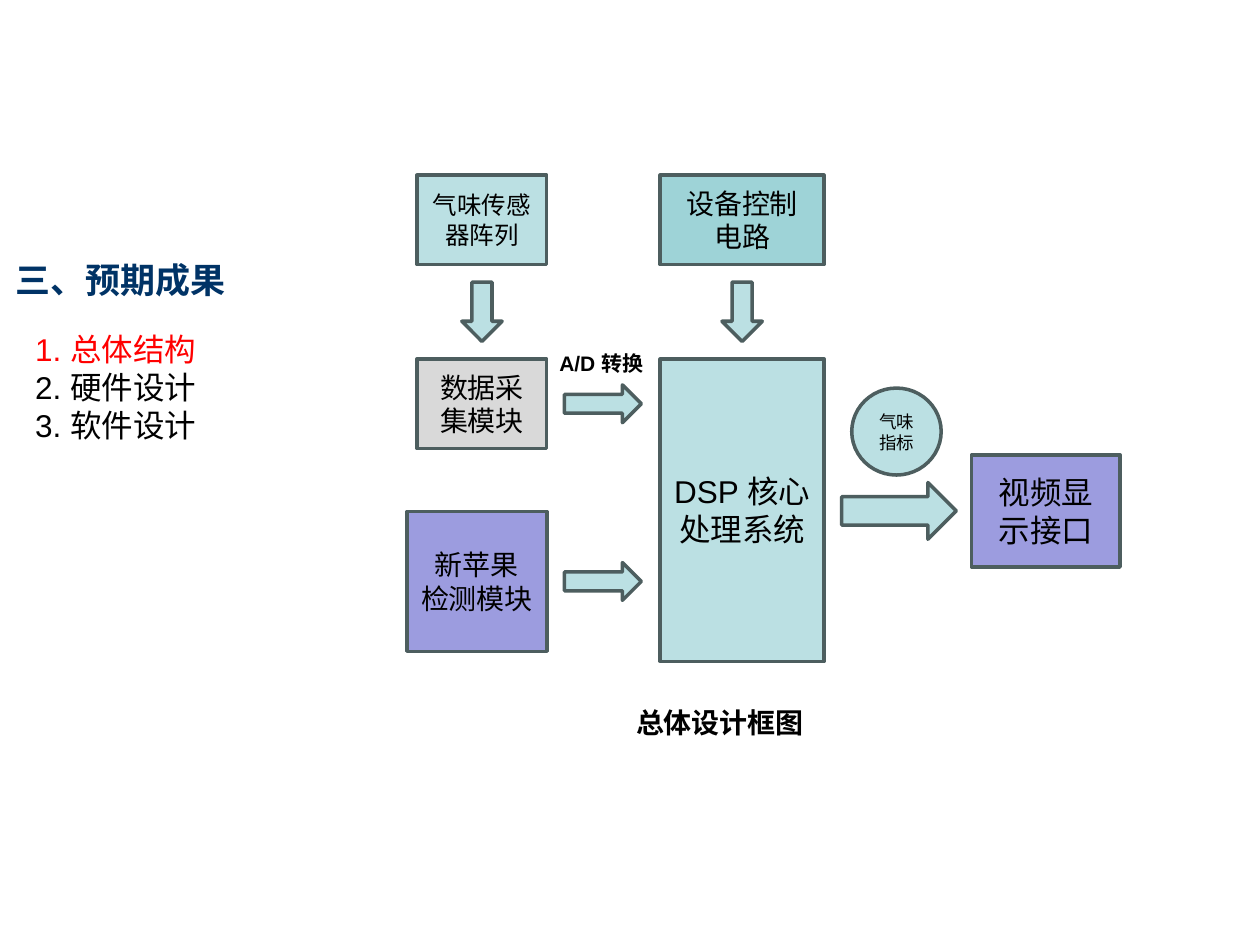
from pptx import Presentation
from pptx.dml.color import RGBColor
from pptx.enum.shapes import MSO_SHAPE
from pptx.enum.text import MSO_ANCHOR, PP_ALIGN
from pptx.util import Inches, Pt

RECT, OVAL = MSO_SHAPE.RECTANGLE, MSO_SHAPE.OVAL
DOWN, RIGHT = MSO_SHAPE.DOWN_ARROW, MSO_SHAPE.RIGHT_ARROW
LEFT, CENTER = PP_ALIGN.LEFT, PP_ALIGN.CENTER
TOP, MIDDLE = MSO_ANCHOR.TOP, MSO_ANCHOR.MIDDLE

AQUA = RGBColor(0xBB, 0xE0, 0xE3)
TEAL = RGBColor(0x9E, 0xD3, 0xD7)
GRAY = RGBColor(0xD9, 0xD9, 0xD9)
LILAC = RGBColor(0x9C, 0x9C, 0xDF)
EDGE = RGBColor(0x4D, 0x5E, 0x5F)
NAVY = RGBColor(0x00, 0x33, 0x66)
RED = RGBColor(0xFF, 0x00, 0x00)
BLACK = RGBColor(0x00, 0x00, 0x00)

FONT = "Arial"
COLS, ROWS = 100, 75
CELL = Inches(10) // COLS


def place(box, part):
    """Turn a part, in grid cells from the box's corner, into slide lengths."""
    x, y, w, h = part
    return [round(n * CELL) for n in (box[0] + x, box[1] + y, w, h)]


def write(frame, lines, size, align, anchor, bold=False, wrap=True):
    """Fill a frame with one paragraph for each (text, colour) pair."""
    frame.word_wrap = wrap
    frame.vertical_anchor = anchor
    for i, (text, color) in enumerate(lines):
        para = frame.add_paragraph() if i else frame.paragraphs[0]
        para.alignment = align
        run = para.add_run()
        run.text = text
        font = run.font
        font.name, font.size, font.bold = FONT, Pt(size), bold
        font.color.rgb = color


def label(slide, box, part, lines, size, align=LEFT, anchor=TOP, bold=True, wrap=True):
    shape = slide.shapes.add_textbox(*place(box, part))
    write(shape.text_frame, lines, size, align, anchor, bold, wrap)


def block(slide, box, kind, part, fill, size=0, *lines):
    shape = slide.shapes.add_shape(kind, *place(box, part))
    shape.shadow.inherit = False
    shape.fill.solid()
    shape.fill.fore_color.rgb = fill
    shape.line.color.rgb = EDGE
    shape.line.width = Pt(2)
    if lines:
        write(shape.text_frame, [(t, BLACK) for t in lines], size, CENTER, MIDDLE)


def outline(slide, box):
    """Section title with its numbered topics below."""
    label(slide, box, (-11.5, 0, 38.6, 7.1), [("三、预期成果", NAVY)], 20, CENTER, MIDDLE)
    topics = [("1. 总体结构", RED), ("2. 硬件设计", BLACK), ("3. 软件设计", BLACK)]
    label(slide, box, (0, 7.1, 15.4, 10), topics, 18, bold=False, wrap=False)


def diagram(slide, box):
    """Block diagram: inputs, core, output, and the arrows between them."""
    sense = (0.8, 0, 10.3, 7.1)
    data = (0.8, 14.6, 10.3, 7.1)
    apple = (0, 26.7, 11.1, 11.1)
    control = (20.1, 0, 13, 7.1)
    core = (20.1, 14.6, 13, 24)
    video = (44.8, 22.2, 11.8, 8.9)
    nodes = [
        (RECT, sense, AQUA, 14, "气味传感器阵列"),
        (RECT, data, GRAY, 16, "数据采集模块"),
        (RECT, apple, LILAC, 16, "新苹果", "检测模块"),
        (RECT, control, TEAL, 16, "设备控制电路"),
        (RECT, core, AQUA, 18, "DSP 核心处理系统"),
        (RECT, video, LILAC, 18, "视频显示接口"),
        (OVAL, (35.3, 16.9, 7.1, 6.9), AQUA, 10, "气味指标"),
    ]
    for node in nodes:
        block(slide, box, *node)

    for x, y, w, h in (sense, control):
        block(slide, box, DOWN, (x + w / 2 - 1.6, y + h + 1.4, 3.2, 4.7), AQUA)
    flows = [(data, 12.5, 6.1, 3), (apple, 12.5, 6.1, 3), (video, 34.5, 9.1, 4.5)]
    for (_, y, _, h), x, wide, high in flows:
        block(slide, box, RIGHT, (x, y + h / 2 - high / 2, wide, high), AQUA)

    label(slide, box, (11.1, 13.4, 9.2, 3), [("A/D 转换", BLACK)], 12)
    label(slide, box, (17.2, 41.6, 15.6, 3.7), [("总体设计框图", BLACK)], 16)


def main():
    deck = Presentation()
    deck.slide_width, deck.slide_height = COLS * CELL, ROWS * CELL
    slide = deck.slides.add_slide(deck.slide_layouts[6])
    outline(slide, (1.8, 18.6))
    diagram(slide, (32.3, 13.9))
    deck.save("out.pptx")


if __name__ == "__main__":
    main()
